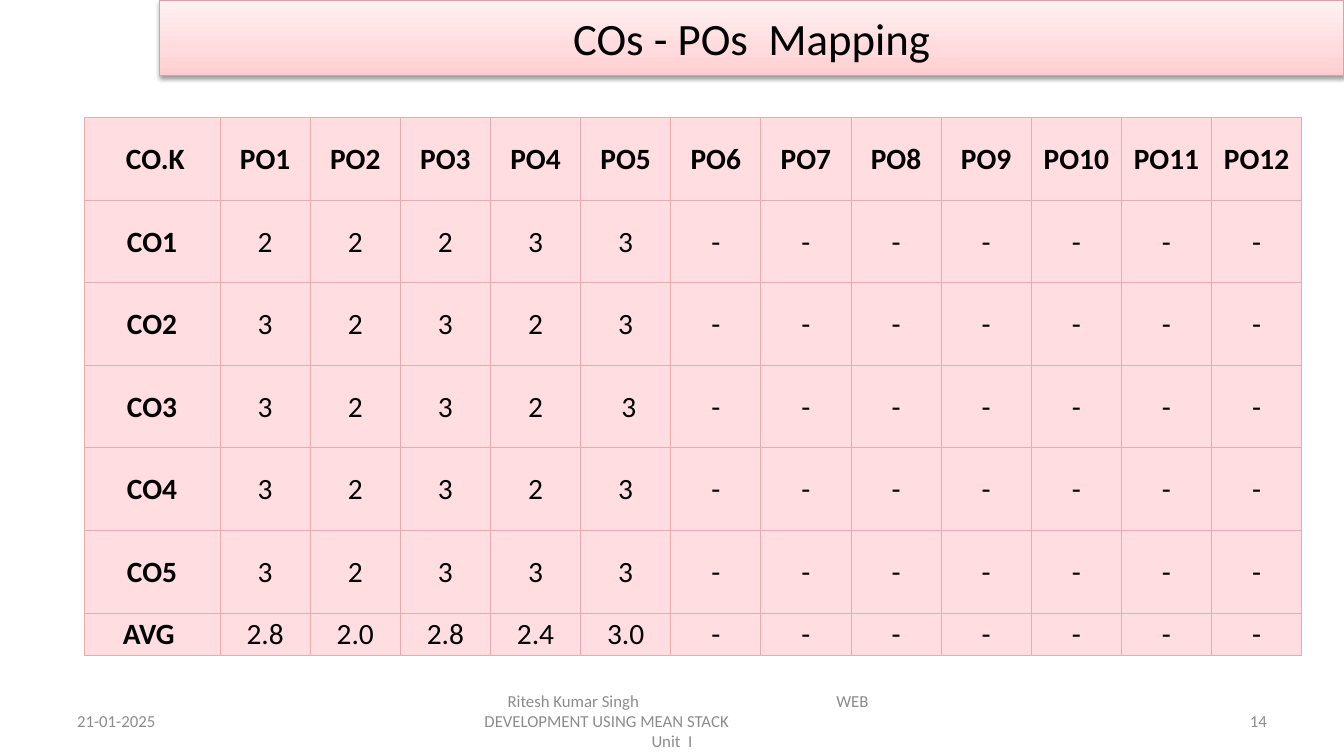
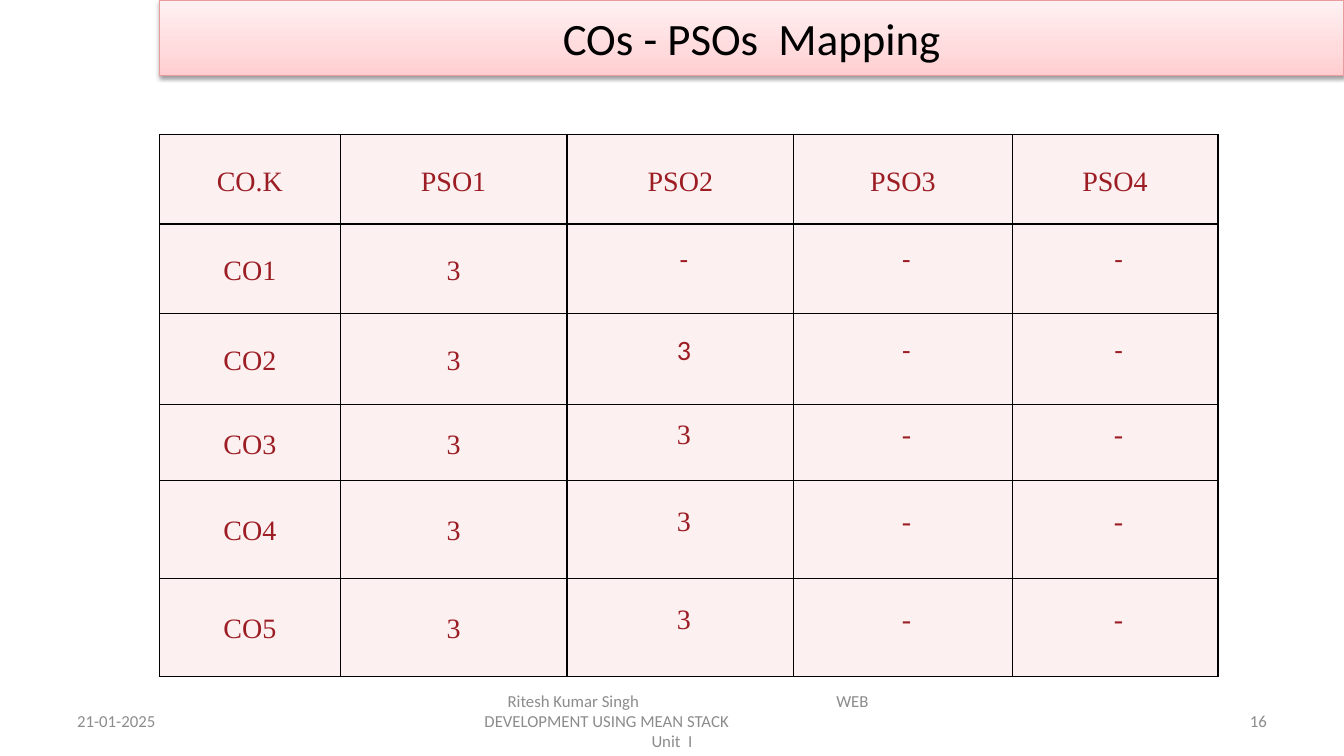
from lxml import etree
from pptx import Presentation
from pptx import util as u
from pptx.dml.color import RGBColor
from pptx.enum import text
from pptx.oxml import parse_xml
from pptx.oxml.ns import nsdecls, qn

Pt = u.Pt
LEFT, CENTER, RIGHT = text.PP_ALIGN.LEFT, text.PP_ALIGN.CENTER, text.PP_ALIGN.RIGHT
SANS, SERIF = "Calibri", "Times New Roman"
COLORS = {
    "black": "000000",
    "grey": "8C8C8C",
    "band_low": "FFCDCF",
    "band_mid": "FFDBDD",
    "band_high": "FFF1F2",
    "band_line": "E89CA0",
    "po_fill": "FFDDE0",
    "po_line": "EAAAB2",
    "pso_fill": "FCF0F1",
    "pso_text": "9C1D23",
}
NO_POS = ["-"] * 7
PO_ROWS = [
    [" CO.K"] + [f"PO{number}" for number in range(1, 13)],
    ["CO1", "2", "2", "2", "3", "3"] + NO_POS,
    ["CO2", "3", "2", "3", "2", "3"] + NO_POS,
    ["CO3", "3", "2", "3", "2", " 3"] + NO_POS,
    ["CO4", "3", "2", "3", "2", "3"] + NO_POS,
    ["CO5", "3", "2", "3", "3", "3"] + NO_POS,
    ["AVG ", "2.8", "2.0", "2.8", "2.4", "3.0"] + NO_POS,
]
PSO_ROWS = [
    ["CO.K", "PSO1", "PSO2", "PSO3", "PSO4"],
    ["CO1", "3", "-", "-", "-"],
    ["CO2", "3", "3", "-", "-"],
    ["CO3", "3", "3", "-", "-"],
    ["CO4", "3", "3", "-", "-"],
    ["CO5", "3", "3", "-", "-"],
]


def rgb(name):
    return RGBColor.from_string(COLORS[name])


class MappingDeck:
    """Holds the shared style and the slide being built."""

    def __init__(self):
        self.deck = Presentation()
        self.deck.slide_width, self.deck.slide_height = Pt(960), Pt(540)
        self.slide = None

    def new_slide(self, title, number):
        self.slide = self.deck.slides.add_slide(self.deck.slide_layouts[5])
        self.title_band(title)
        self.footer_text(48, 224, "21-01-2025", LEFT)
        self.course_footer()
        self.footer_text(688, 224, str(number), RIGHT)

    def style(self, para, size, color, font=SANS, bold=False, align=CENTER):
        para.alignment = align
        for span in para.runs:
            span.font.size, span.font.name, span.font.bold = Pt(size), font, bold
            span.font.color.rgb = rgb(color)

    def title_band(self, title):
        band = self.slide.shapes.title
        band.left, band.top, band.width, band.height = Pt(114), Pt(0), Pt(846), Pt(54)
        band.fill.gradient()
        band.fill.gradient_angle = 90
        stop_list = band.element.spPr.find(".//" + qn("a:gsLst"))
        for stop in list(stop_list):
            stop_list.remove(stop)
        for percent, color in ((0, "band_low"), (35, "band_mid"), (100, "band_high")):
            stop = etree.SubElement(stop_list, qn("a:gs"), pos=str(percent * 1000))
            etree.SubElement(stop, qn("a:srgbClr"), val=COLORS[color])
        band.line.color.rgb = rgb("band_line")
        band.line.width = Pt(0.75)
        band.element.spPr.append(parse_xml(
            f'<a:effectLst {nsdecls("a")}>'
            f'<a:outerShdw blurRad="{Pt(3.1)}" dist="{Pt(1.6)}" dir="5400000" rotWithShape="0">'
            f'<a:srgbClr val="{COLORS["black"]}"><a:alpha val="38000"/></a:srgbClr>'
            '</a:outerShdw></a:effectLst>'))
        frame = band.text_frame
        frame.text = title
        frame.auto_size = text.MSO_AUTO_SIZE.NONE
        frame.vertical_anchor = text.MSO_ANCHOR.MIDDLE
        self.style(frame.paragraphs[0], 32, "black")

    def footer_text(self, left, width, wording, align):
        box = self.slide.shapes.add_textbox(Pt(left), Pt(500.5), Pt(width), Pt(29))
        frame = box.text_frame
        frame.word_wrap = True
        frame.vertical_anchor = text.MSO_ANCHOR.MIDDLE
        frame.text = wording
        for para in frame.paragraphs:
            self.style(para, 12, "grey", align=align)
        return frame.paragraphs

    def course_footer(self):
        wording = "Ritesh Kumar Singh\tWEB\nDEVELOPMENT USING MEAN STACK\nUnit  I"
        author, course, unit = self.footer_text(328, 304, wording, LEFT)
        for para, indent in ((author, 27.5), (course, 11)):
            para._p.get_or_add_pPr().set("marL", str(Pt(indent)))
        tabs = etree.SubElement(author._p.get_or_add_pPr(), qn("a:tabLst"))
        etree.SubElement(tabs, qn("a:tab"), pos=str(Pt(237)), algn="l")
        unit.alignment = CENTER

    def table(self, left, top, widths, heights, rows, margins, fill, border, style_cell):
        """Draw a grid; style_cell(para, row, column) formats each cell's text."""
        frame = self.slide.shapes.add_table(
            len(rows), len(widths), Pt(left), Pt(top), Pt(sum(widths)), Pt(sum(heights)))
        table = frame.table
        table.first_row = table.horz_banding = False
        for column, width in zip(table.columns, widths):
            column.width = Pt(width)
        for row, height in zip(table.rows, heights):
            row.height = Pt(height)
        for r, values in enumerate(rows):
            for c, value in enumerate(values):
                cell = table.cell(r, c)
                self.cell_border(cell, *border)
                cell.fill.solid()
                cell.fill.fore_color.rgb = rgb(fill)
                cell.vertical_anchor = text.MSO_ANCHOR.MIDDLE
                (cell.margin_left, cell.margin_top,
                 cell.margin_right, cell.margin_bottom) = map(Pt, margins)
                cell.text_frame.text = value
                style_cell(cell.text_frame.paragraphs[0], r, c)

    def cell_border(self, cell, color, width):
        properties = cell._tc.get_or_add_tcPr()
        for side in ("lnL", "lnR", "lnT", "lnB"):
            line = etree.SubElement(properties, qn(f"a:{side}"), w=str(Pt(width)))
            solid = etree.SubElement(line, qn("a:solidFill"))
            etree.SubElement(solid, qn("a:srgbClr"), val=COLORS[color])

    def po_cell(self, para, row, column):
        self.style(para, 21, "black", bold=row == 0 or column == 0)

    def pso_cell(self, para, row, column):
        is_level = row > 0 and column > 1
        self.style(para, 20, "pso_text", SANS if is_level and row < 3 else SERIF)
        para.line_spacing = Pt(12.3) if is_level else 1.15
        if is_level:
            para._p.get_or_add_pPr().set("marL", str(Pt(5)))


def main():
    pages = MappingDeck()
    pages.new_slide("COs - POs  Mapping", 14)
    pages.table(60, 84, [97.2] + [64.38] * 12, [59] * 6 + [30], PO_ROWS,
                (0.7, 0.7, 0.7, 0), "po_fill", ("po_line", 0.75), pages.po_cell)
    pages.new_slide("COs - PSOs  Mapping", 16)
    pages.table(114, 96, [129, 162, 162, 156, 147], [64, 64, 65, 54, 70, 70], PSO_ROWS,
                (5, 0, 5, 0), "pso_fill", ("black", 1), pages.pso_cell)
    pages.deck.save("out.pptx")


if __name__ == "__main__":
    main()
